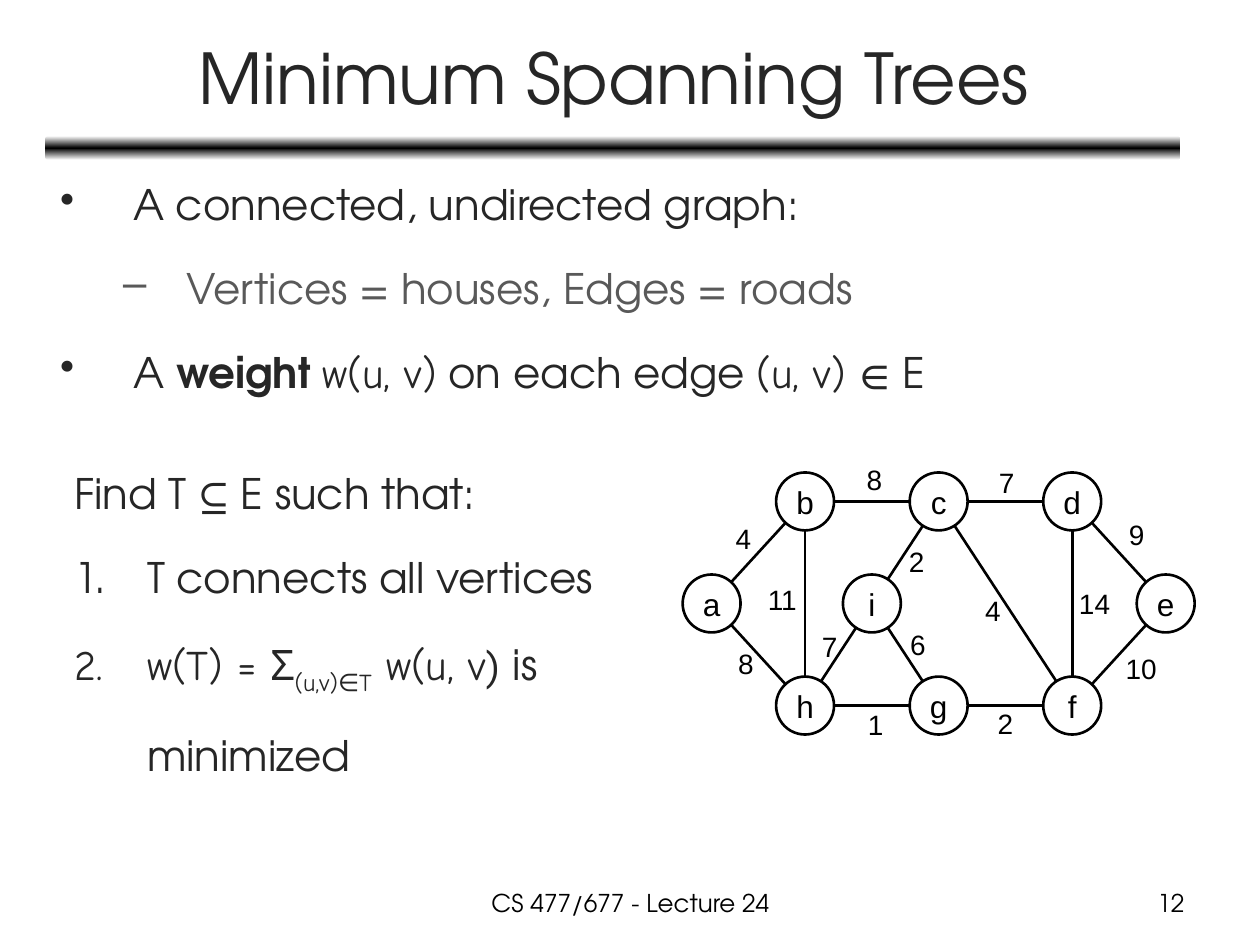
from copy import deepcopy
from math import hypot

from lxml.etree import SubElement
from pptx import Presentation
from pptx.dml.color import RGBColor
from pptx.enum.shapes import MSO_CONNECTOR, MSO_SHAPE
from pptx.enum.text import MSO_ANCHOR, PP_ALIGN
from pptx.oxml.ns import qn
from pptx.util import Inches, Pt

SLIDE_W, SLIDE_H = 10, 7.5
BLACK = RGBColor(0x00, 0x00, 0x00)
WHITE = RGBColor(0xFF, 0xFF, 0xFF)
DARK = RGBColor(0x26, 0x26, 0x26)
GRAY = RGBColor(0x59, 0x59, 0x59)
SANS, HAND, GRAPH_FONT = "TeX Gyre Adventor", "Comic Neue", "Arial"

# Graph grid: centre of vertex b, column and row step, vertex radius
ORIGIN_X, ORIGIN_Y = 6.39, 3.98
COLUMN, ROW, RADIUS = 1.06, 0.81, 0.23

# Vertex: (column, row)
VERTICES = {
    "a": (-0.7, 1), "b": (0, 0), "c": (1, 0), "d": (2, 0), "e": (2.7, 1),
    "h": (0, 2), "g": (1, 2), "f": (2, 2), "i": (0.5, 1),
}
# Edge: ends, weight, offset of the weight from the middle of the edge
EDGES = [
    ("ab", 4, -0.12, -0.11), ("bc", 8, 0.02, -0.17), ("cd", 7, 0.01, -0.15),
    ("ah", 8, -0.1, 0.07), ("bh", 11, -0.17, -0.03), ("hg", 1, 0.03, 0.15),
    ("gf", 2, 0, 0.14), ("hi", 7, -0.07, -0.06), ("ic", 2, 0.09, 0.07),
    ("cf", 4, -0.1, 0.06), ("df", 14, 0.18, 0), ("de", 9, 0.14, -0.14),
    ("ef", 10, 0.18, 0.11), ("ig", 6, 0.1, -0.08),
]

# Paragraph: bullet, left margin, hanging indent, colour, runs (text, format)
PREMISES = [
    ("•", 0.58, 0.58, DARK, [("A connected, undirected graph:", {})]),
    ("–", 1, 0.5, GRAY, [("Vertices = houses, Edges = roads", {})]),
    ("•", 0.58, 0.58, DARK, [
        ("A ", {}), ("weight ", {"bold": True}), ("w(u, v)", {"name": HAND}),
        (" on each edge ", {}), ("(u, v) ", {"name": HAND}), ("∈ E", {})]),
]
GOAL = [
    (None, 0.58, 0.58, DARK, [("Find T ⊆ E such that:", {})]),
    ("1.", 0.58, 0.58, DARK, [("T connects all vertices", {})]),
    ("1.", 0.58, 0.58, DARK, [
        ("w(T) = Σ", {"name": HAND}),
        ("(u,v)∈T", {"name": HAND, "baseline": -25}),
        (" w(u, v", {"name": HAND}), (") is", {})]),
    (None, 0.58, 0.58, DARK, [("\tminimized", {})]),
]


def area(left, top, width, height):
    """Turn percentages of the slide into lengths."""
    return [Inches(share * side / 100) for share, side in
            zip((left, top, width, height), (SLIDE_W, SLIDE_H) * 2)]


def add_run(paragraph, text, color, baseline=0, **formats):
    run = paragraph.add_run()
    run.text = text
    for attribute, value in formats.items():
        setattr(run.font, attribute, value)
    run.font.color.rgb = color
    if baseline:
        run.font._element.set("baseline", str(baseline * 1000))


def add_label(slide, box, text, size, align, color=BLACK, font=SANS,
              anchor=MSO_ANCHOR.TOP, wrap=True):
    frame = slide.shapes.add_textbox(*box).text_frame
    frame.word_wrap, frame.vertical_anchor = wrap, anchor
    frame.paragraphs[0].alignment = align
    add_run(frame.paragraphs[0], text, color, name=font, size=Pt(size))


def set_bullet(paragraph, bullet, margin, hanging):
    properties = paragraph._p.get_or_add_pPr()
    properties.set("marL", str(Inches(margin)))
    properties.set("indent", str(-Inches(hanging)))
    if bullet is None:
        SubElement(properties, qn("a:buNone"))
    elif bullet == "1.":
        SubElement(properties, qn("a:buAutoNum"), type="arabicPeriod")
    else:
        SubElement(properties, qn("a:buChar"), char=bullet)


def add_list(slide, box, items):
    frame = slide.shapes.add_textbox(*box).text_frame
    frame.word_wrap = True
    for index, (bullet, margin, hanging, color, runs) in enumerate(items):
        paragraph = frame.add_paragraph() if index else frame.paragraphs[0]
        set_bullet(paragraph, bullet, margin, hanging)
        paragraph.line_spacing = 1.5
        if index:
            paragraph.space_before = Pt(4.8)
        for text, formats in runs:
            add_run(paragraph, text, color,
                    **{"name": SANS, "size": Pt(24), **formats})


def add_divider(slide, box):
    divider = slide.shapes.add_shape(MSO_SHAPE.ROUNDED_RECTANGLE, *box)
    divider.shadow.inherit = False
    divider.line.fill.background()
    divider.fill.gradient()
    divider.fill.gradient_angle = 90
    # A third stop makes the fade symmetric
    first = divider.fill.gradient_stops[0]._gs
    first.addnext(deepcopy(first))
    for stop, color, position in zip(divider.fill.gradient_stops,
                                     (WHITE, BLACK, WHITE), (0, 0.5, 1)):
        stop.color.rgb = color
        stop.position = position


def center(vertex):
    column, row = VERTICES[vertex]
    return ORIGIN_X + column * COLUMN, ORIGIN_Y + row * ROW


def add_vertex(slide, name):
    x, y = center(name)
    vertex = slide.shapes.add_shape(
        MSO_SHAPE.OVAL, Inches(x - RADIUS), Inches(y - RADIUS),
        Inches(2 * RADIUS), Inches(2 * RADIUS))
    vertex.shadow.inherit = False
    vertex.fill.background()
    vertex.line.color.rgb = BLACK
    vertex.line.width = Pt(1.5)
    frame = vertex.text_frame
    frame.word_wrap, frame.vertical_anchor = False, MSO_ANCHOR.MIDDLE
    frame.paragraphs[0].alignment = PP_ALIGN.CENTER
    add_run(frame.paragraphs[0], name, BLACK, name=GRAPH_FONT, size=Pt(18))


def add_edge(slide, ends):
    """Draw a line between the rims of two vertices."""
    (x1, y1), (x2, y2) = map(center, ends)
    share = RADIUS / hypot(x2 - x1, y2 - y1)
    dx, dy = (x2 - x1) * share, (y2 - y1) * share
    edge = slide.shapes.add_connector(
        MSO_CONNECTOR.STRAIGHT,
        *map(Inches, (x1 + dx, y1 + dy, x2 - dx, y2 - dy)))
    edge.line.color.rgb = BLACK
    edge.line.width = Pt(1.5)
    SubElement(edge._element.spPr, qn("a:effectLst"))


def add_weight(slide, ends, weight, dx, dy):
    (x1, y1), (x2, y2) = map(center, ends)
    width, height = 0.32 if weight < 10 else 0.45, 0.37
    box = map(Inches, ((x1 + x2 - width) / 2 + dx,
                       (y1 + y2 - height) / 2 + dy, width, height))
    add_label(slide, box, str(weight), 16, PP_ALIGN.LEFT,
              font=GRAPH_FONT, wrap=False)


def main():
    deck = Presentation()
    deck.slide_width, deck.slide_height = Inches(SLIDE_W), Inches(SLIDE_H)
    slide = deck.slides.add_slide(deck.slide_layouts[6])

    # Heading
    add_divider(slide, area(3.6, 14.4, 90.1, 2.53))
    add_label(slide, area(3.7, 1.47, 90, 13.2), "Minimum Spanning Trees", 40,
              PP_ALIGN.CENTER, color=DARK, anchor=MSO_ANCHOR.MIDDLE)

    # Problem statement
    add_list(slide, area(3.8, 15.6, 89, 30.67), PREMISES)
    add_list(slide, area(4.9, 46.13, 92.4, 30.4), GOAL)

    # Weighted graph
    for name in VERTICES:
        add_vertex(slide, name)
    for ends, *_ in EDGES:
        add_edge(slide, ends)
    for edge in EDGES:
        add_weight(slide, *edge)

    # Footer
    add_label(slide, area(34.2, 93.33, 31.7, 4.67), "CS 477/677 - Lecture 24",
              14, PP_ALIGN.CENTER)
    add_label(slide, area(71.7, 93.33, 23.3, 4.67), "12", 14, PP_ALIGN.RIGHT)

    deck.save("out.pptx")


if __name__ == "__main__":
    main()
